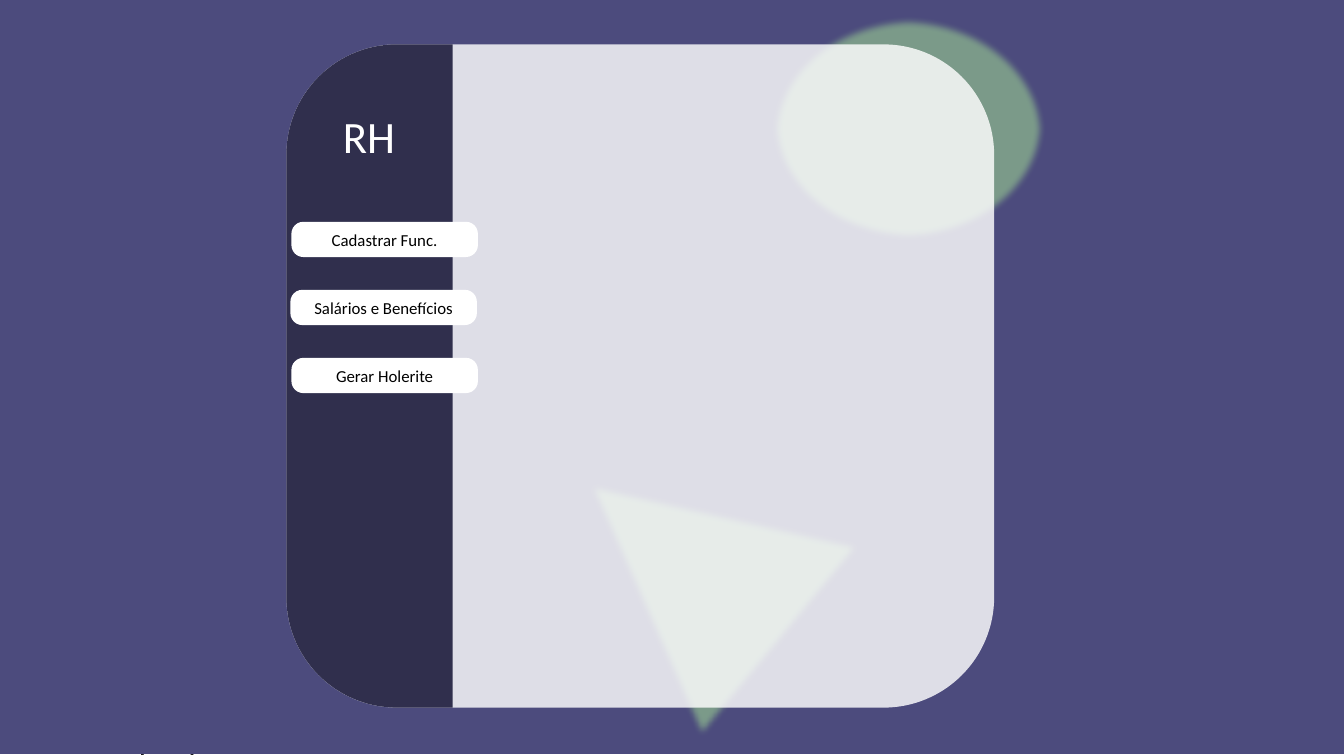
import math

import pptx
import pptx.dml.color
import pptx.enum.shapes
import pptx.enum.text
import pptx.oxml
import pptx.oxml.ns
import pptx.util

Inches = pptx.util.Inches
SHAPE = pptx.enum.shapes.MSO_SHAPE
ALIGN = pptx.enum.text.PP_ALIGN
ANCHOR = pptx.enum.text.MSO_ANCHOR

INDIGO, NAVY, GREEN = "4C4B7D", "302F4D", "84A98C"
WHITE, BLACK = "FFFFFF", "000000"
CARD_LEFT, CARD_TOP, CARD_WIDTH, CARD_HEIGHT = 2.84, 0.44, 7.02, 6.58
MENU_WIDTH = 1.65
CORNER = CARD_HEIGHT / 6
BUTTONS = [
    (2.89, "Cadastrar Func."),
    (2.88, "Salários e Benefícios"),
    (2.89, "Gerar Holerite"),
]
BUTTON_TOP, BUTTON_STEP = 2.2, 0.675


def rgb(color):
    return pptx.dml.color.RGBColor.from_string(color)


def xml(tag, content="", **attrs):
    text = "".join(f' {name}="{value}"' for name, value in attrs.items())
    return pptx.oxml.parse_xml(
        f"<a:{tag} {pptx.oxml.ns.nsdecls('a')}{text}>{content}</a:{tag}>")


def paint(sp, color, opacity=100):
    """Give a shape a plain fill with no line and no shadow."""
    sp.shadow.inherit = False
    sp.fill.solid()
    sp.fill.fore_color.rgb = rgb(color)
    sp.line.fill.background()
    if opacity < 100:
        fill = sp.element.spPr.find(pptx.oxml.ns.qn("a:solidFill"))
        fill[0].append(xml("alpha", val=opacity * 1000))


def add_shape(s, kind, box, color, opacity=100):
    sp = s.shapes.add_shape(kind, *map(Inches, box))
    paint(sp, color, opacity)
    return sp


def soften(sp, radius):
    effects = sp.element.spPr.find(pptx.oxml.ns.qn("a:effectLst"))
    effects.append(xml("softEdge", rad=int(Inches(radius))))


def set_text(sp, text, size, color, font="Calibri", align=ALIGN.LEFT, **frame):
    tf = sp.text_frame
    for name, value in frame.items():
        setattr(tf, name, value)
    p = tf.paragraphs[0]
    p.alignment = align
    r = p.add_run()
    r.text = text
    for name, value in {"name": font, "size": pptx.util.Pt(size)}.items():
        setattr(r.font, name, value)
    r.font.color.rgb = rgb(color)


def add_label(s):
    sp = s.shapes.add_textbox(*map(Inches, (1.39, 7.33, 0.56, 0.17)))
    set_text(sp, "[Internal]", 10, BLACK, "Arial", word_wrap=False,
             margin_left=0, margin_top=0, margin_right=0, margin_bottom=0)


def add_menu_panel(s):
    """Draw the side menu with its two left corners rounded."""
    right, bottom = CARD_LEFT + MENU_WIDTH, CARD_TOP + CARD_HEIGHT
    x = CARD_LEFT + CORNER
    points = [(right, CARD_TOP), (right, bottom)]
    for y, start in ((bottom - CORNER, 90), (CARD_TOP + CORNER, 180)):
        for angle in range(start, start + 91, 3):
            a = math.radians(angle)
            points.append((x + CORNER * math.cos(a), y + CORNER * math.sin(a)))
    points = [(Inches(px), Inches(py)) for px, py in points]
    builder = s.shapes.build_freeform(*points[0])
    builder.add_line_segments(points[1:], close=True)
    paint(builder.convert_to_shape(), NAVY)


def add_title(s, text):
    sp = s.shapes.title
    sp.left, sp.top, sp.width, sp.height = map(Inches, (3.3, 1.03, 0.72, 0.64))
    set_text(sp, text, 32, WHITE, word_wrap=False,
             vertical_anchor=ANCHOR.TOP,
             auto_size=pptx.enum.text.MSO_AUTO_SIZE.NONE)
    sp.element.getparent().append(sp.element)  # bring to front


def add_button(s, left, top, text):
    sp = add_shape(s, SHAPE.ROUNDED_RECTANGLE, (left, top, 1.85, 0.35), WHITE)
    sp.adjustments[0] = 0.34
    set_text(sp, text, 12, BLACK, align=ALIGN.CENTER, word_wrap=True,
             vertical_anchor=ANCHOR.MIDDLE)


def main():
    prs = pptx.Presentation()
    prs.slide_width, prs.slide_height = Inches(13.33), Inches(7.5)
    s = prs.slides.add_slide(prs.slide_layouts.get_by_name("Title Only"))

    add_label(s)
    add_shape(s, SHAPE.RECTANGLE, (0, -0.02, 13.33, 7.5), INDIGO)
    triangle = add_shape(s, SHAPE.ISOSCELES_TRIANGLE,
                         (5.45, 4.26, 2.63, 2.62), GREEN, 85)
    triangle.rotation = 309.5
    ellipse = add_shape(s, SHAPE.OVAL, (7.64, 0.15, 2.74, 2.25), GREEN, 85)
    for sp in (triangle, ellipse):
        soften(sp, 0.07)

    add_shape(s, SHAPE.ROUNDED_RECTANGLE,
              (CARD_LEFT, CARD_TOP, CARD_WIDTH, CARD_HEIGHT), WHITE, 82)
    add_menu_panel(s)
    add_title(s, "RH")
    for i, (left, text) in enumerate(BUTTONS):
        add_button(s, left, BUTTON_TOP + i * BUTTON_STEP, text)

    prs.save("out.pptx")


if __name__ == "__main__":
    main()
